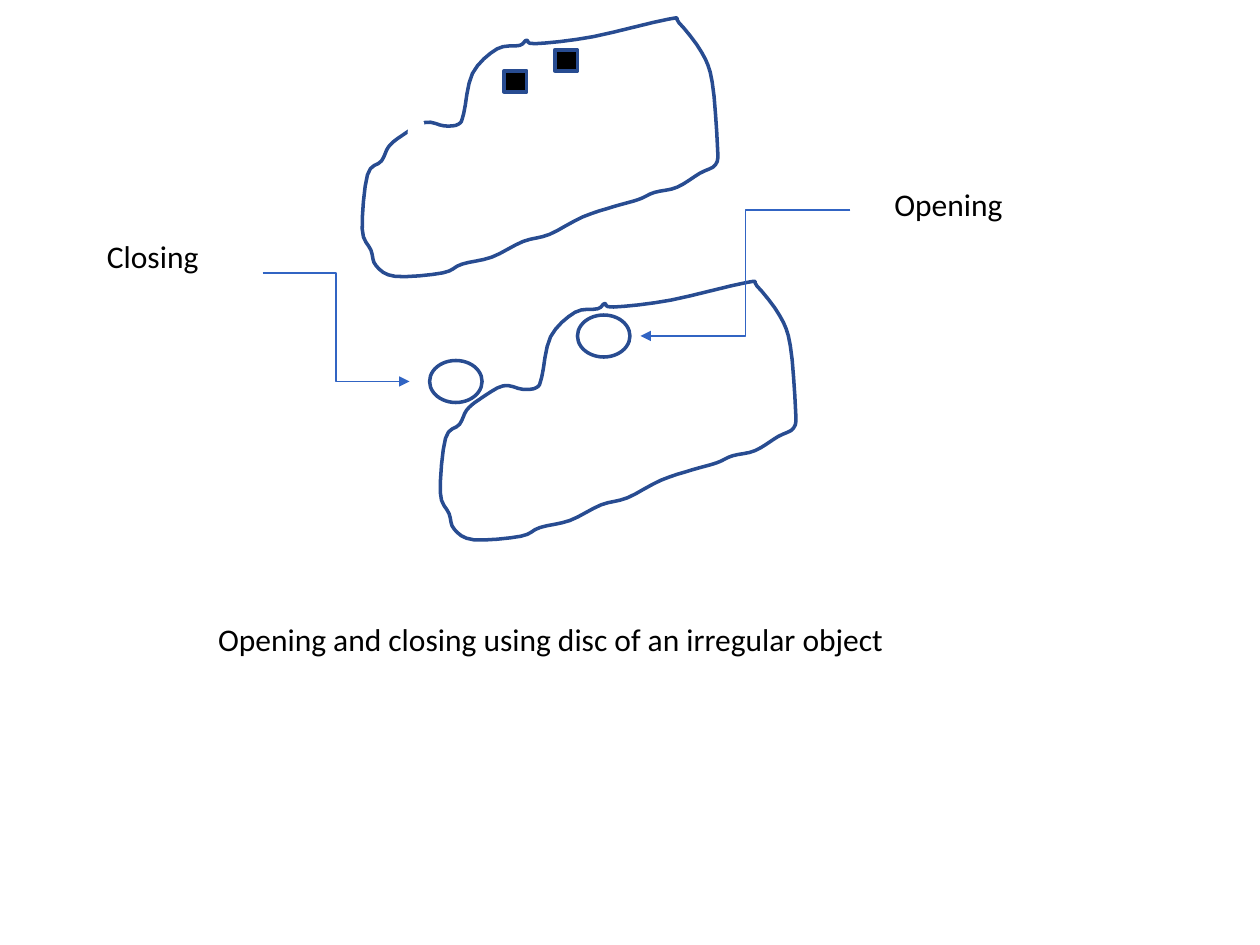
from dataclasses import dataclass

from pptx import Presentation
from pptx.dml.color import RGBColor as Rgb
from pptx.enum import shapes, text
from pptx.oxml import ns, xmlchemy as xml
from pptx.util import Pt


@dataclass(frozen=True)
class Theme:
    edge: Rgb = Rgb.from_string("284C91")
    arrow: Rgb = Rgb.from_string("3164C3")
    ink: Rgb = Rgb.from_string("000000")
    paper: Rgb = Rgb.from_string("FFFFFF")
    font: str = "Calibri"
    size: float = 18
    thick: float = 2
    thin: float = 0.75


THEME = Theme()
STEPS = 4  # line pieces between two knots
FINE = 10  # subdivisions of a point

# Knots of the irregular object's border, in points
KNOTS = [
    (243, 70), (254, 72), (262, 71), (265, 65), (270, 42), (284, 28),
    (297, 26), (301, 23), (306, 25), (339, 21), (382, 11), (388, 13),
    (401, 30), (407, 47), (410, 83), (409, 94), (400, 99), (387, 107),
    (374, 110), (365, 114), (351, 118), (333, 124), (314, 134), (299, 138),
    (281, 147), (264, 151), (253, 156), (226, 158), (215, 152), (212, 143),
    (207, 131), (210, 100), (218, 92), (222, 84), (229, 78),
]


def trace():
    """Return a smooth closed border through the knots, as fine points."""
    dots, count = [], len(KNOTS)
    for i in range(count):
        near = [KNOTS[(i + j) % count] for j in (-1, 0, 1, 2)]
        for step in range(STEPS):
            t = step / STEPS
            dots.append(tuple(
                FINE * (b + t * (c - a + t * (2*a - 5*b + 4*c - d
                                              + t * (3*b - a - 3*c + d))) / 2)
                for a, b, c, d in zip(*near)))
    return dots


def style(shape, fill=None, edge=THEME.edge):
    shape.shadow.inherit = False
    if fill is None:
        shape.fill.background()
    else:
        shape.fill.solid()
        shape.fill.fore_color.rgb = fill
    shape.line.color.rgb = edge
    shape.line.width = Pt(THEME.thick)


def add_blob(slide, dx, dy):
    first, *rest = trace()
    pen = slide.shapes.build_freeform(*first, scale=Pt(1) / FINE)
    pen.add_line_segments(rest, close=True)
    style(pen.convert_to_shape(Pt(dx), Pt(dy)))


def add_mark(slide, kind, box, **look):
    style(slide.shapes.add_shape(kind, *map(Pt, box)), **look)


def add_arrow(slide, *ends):
    link = slide.shapes.add_connector(shapes.MSO_CONNECTOR.ELBOW, *map(Pt, ends))
    link.line.color.rgb = THEME.arrow
    link.line.width = Pt(THEME.thin)
    props = link.element.spPr
    head = xml.OxmlElement("a:tailEnd")
    head.set("type", "triangle")
    props.find(ns.qn("a:ln")).append(head)
    props.append(xml.OxmlElement("a:effectLst"))


def add_label(slide, words, *box):
    frame = slide.shapes.add_textbox(*map(Pt, box)).text_frame
    frame.word_wrap = False
    frame.auto_size = text.MSO_AUTO_SIZE.SHAPE_TO_FIT_TEXT
    run = frame.paragraphs[0].add_run()
    run.text = words
    run.font.name = THEME.font
    run.font.size = Pt(THEME.size)
    run.font.color.rgb = THEME.ink


def main():
    deck = Presentation()
    deck.slide_width, deck.slide_height = Pt(720), Pt(540)
    slide = deck.slides.add_slide(deck.slide_layouts[6])
    oval, square = shapes.MSO_SHAPE.OVAL, shapes.MSO_SHAPE.RECTANGLE

    # Lower object with its discs
    add_blob(slide, 44.64, 150.48)
    for x, y in ((330, 180), (245.5, 206)):
        add_mark(slide, oval, (x, y, 30, 24))

    # Arrows and labels
    add_arrow(slide, 486, 120, 366, 192)
    add_arrow(slide, 150, 156, 234, 218)
    add_label(slide, "Closing", 54, 132, 68, 51)
    add_label(slide, "Opening", 504, 102, 77, 51)
    add_label(slide, "Opening and closing using disc of an irregular object",
              117.5, 351, 400, 51)

    # Upper object with two squares and a gap in its border
    add_blob(slide, 0, 0)
    for x, y in ((317, 28.5), (288, 40.5)):
        add_mark(slide, square, (x, y, 13, 12), fill=THEME.ink)
    add_mark(slide, oval, (234, 66, 8, 19.5), fill=THEME.paper, edge=THEME.paper)

    deck.save("out.pptx")


if __name__ == "__main__":
    main()
